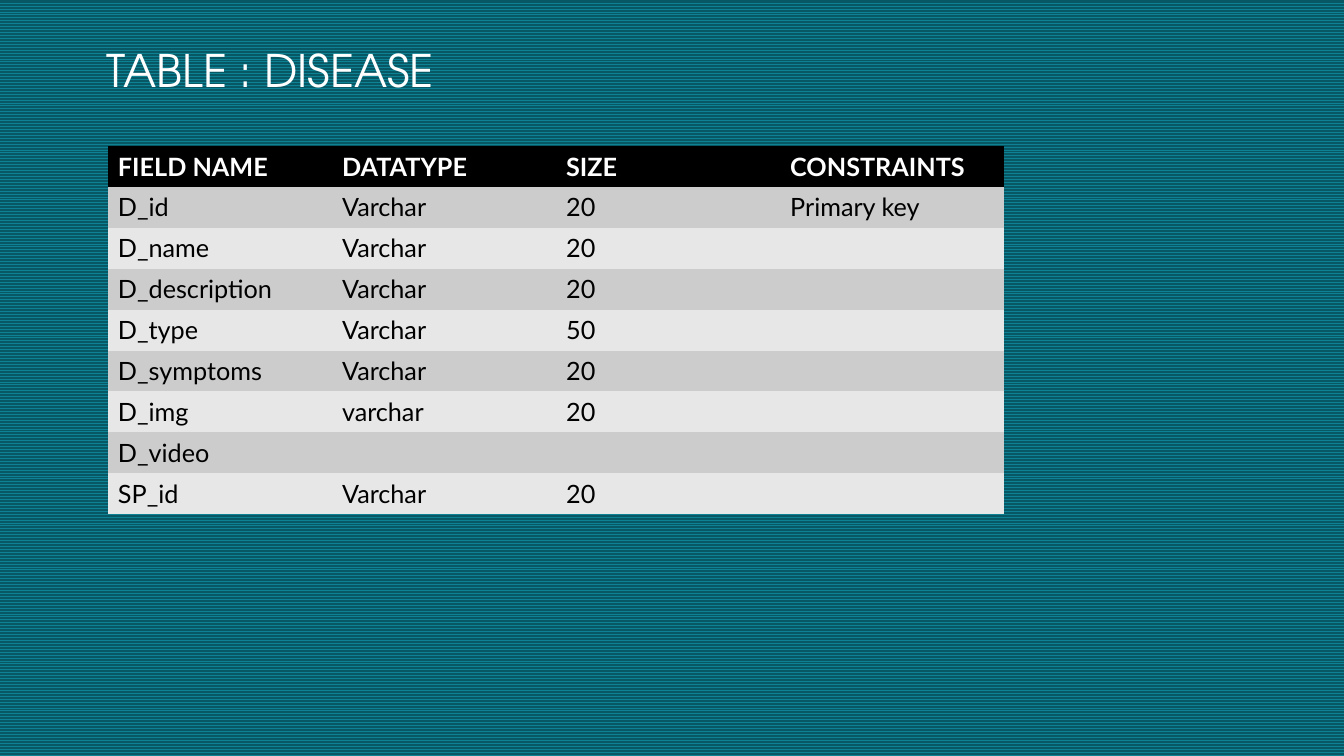
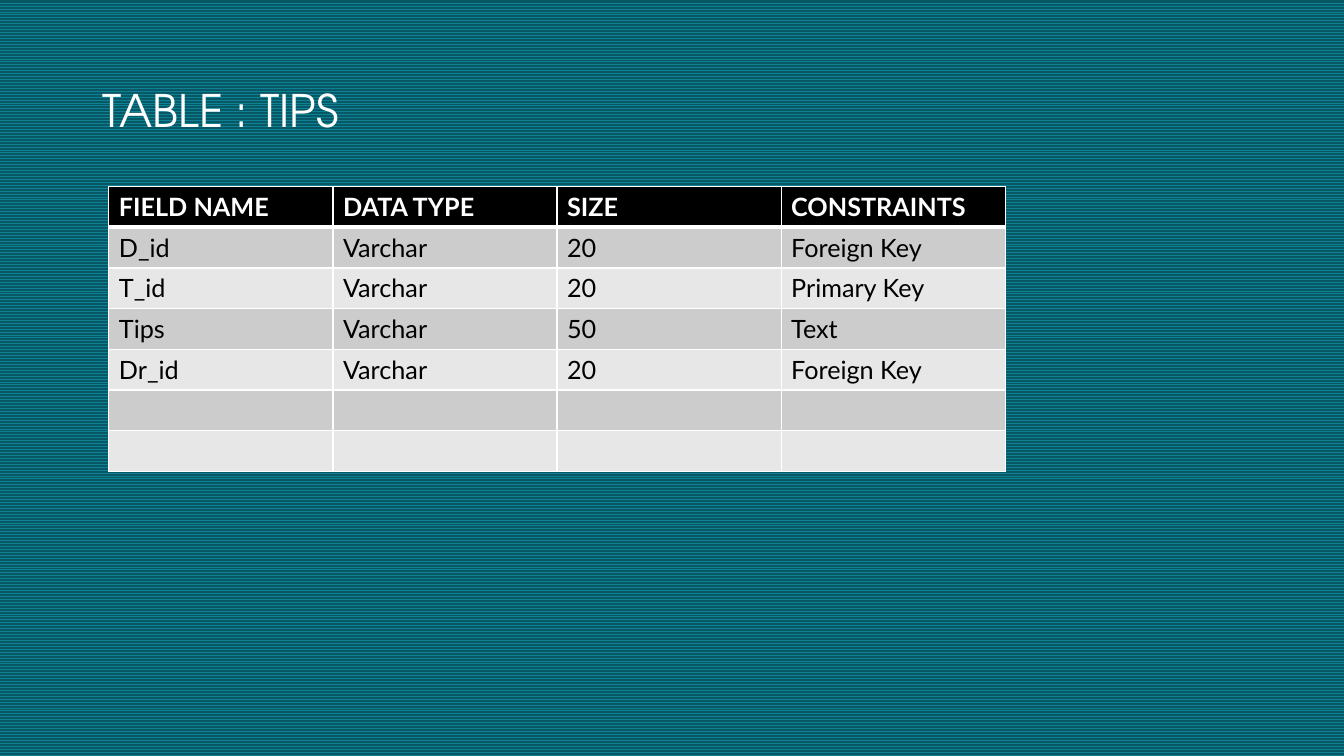
from lxml import etree
from pptx import Presentation
from pptx.dml.color import RGBColor
from pptx.enum.dml import MSO_PATTERN
from pptx.enum.text import MSO_ANCHOR
from pptx.oxml.ns import qn
from pptx.util import Inches, Pt

ZIG_ZAG = MSO_PATTERN.ZIG_ZAG
MIDDLE = MSO_ANCHOR.MIDDLE

TEAL, DEEP_TEAL = "0D8295", "085764"
WHITE, BLACK = "FFFFFF", "000000"
BANDS = ("CCCCCC", "E7E7E7")
TITLE_FONT, BODY_FONT = "TeX Gyre Adventor", "Lato"
TITLE_WIDTH, TITLE_HEIGHT = 11.5, 1.45
TABLE_WIDTH = 8.89
GRID_LINE, HEADER_LINE = 1, 3


def color(hex_value):
    """Return the colour for a hex string."""
    return RGBColor.from_string(hex_value)


def style_text(paragraph, font_name, size, hex_value, bold=False):
    """Format every run of a paragraph."""
    for run in paragraph.runs:
        run.font.name = font_name
        run.font.size = Pt(size)
        run.font.color.rgb = color(hex_value)
        run.font.bold = bold


def set_background(master):
    """Give the master the patterned backdrop all slides share."""
    backdrop = master.background.fill
    backdrop.patterned()
    backdrop.pattern = ZIG_ZAG
    backdrop.fore_color.rgb = color(TEAL)
    backdrop.back_color.rgb = color(DEEP_TEAL)


def add_title(slide, text, left, top):
    """Place the slide title, centred vertically in its box."""
    title = slide.shapes.add_textbox(
        Inches(left), Inches(top), Inches(TITLE_WIDTH), Inches(TITLE_HEIGHT))
    frame = title.text_frame
    frame.word_wrap = True
    frame.vertical_anchor = MIDDLE
    frame.text = text
    heading = frame.paragraphs[0]
    heading.line_spacing = 0.9
    style_text(heading, TITLE_FONT, 32, WHITE)


def set_borders(cell, widths):
    """Draw white cell borders; a width of zero leaves that side bare."""
    properties = cell._tc.get_or_add_tcPr()
    for side, width in widths.items():
        line = etree.SubElement(properties, qn(f"a:ln{side}"), w=str(Pt(width)))
        if width:
            fill = etree.SubElement(line, qn("a:solidFill"))
            etree.SubElement(fill, qn("a:srgbClr"), val=WHITE)
        else:
            etree.SubElement(line, qn("a:noFill"))


def add_field_table(slide, rows, left, top, height, ruled):
    """Place a banded field table with a black header row."""
    table = slide.shapes.add_table(
        len(rows), len(rows[0]), Inches(left), Inches(top),
        Inches(TABLE_WIDTH), Inches(height)).table
    grid = GRID_LINE if ruled else 0
    under_header = HEADER_LINE if ruled else 0
    for row_index, row in enumerate(rows):
        header = row_index == 0
        row_fill = BLACK if header else BANDS[(row_index - 1) % 2]
        widths = {"L": grid, "R": grid,
                  "T": under_header if row_index == 1 else grid,
                  "B": under_header if header else grid}
        for column_index, text in enumerate(row):
            cell = table.cell(row_index, column_index)
            set_borders(cell, widths)
            cell.fill.solid()
            cell.fill.fore_color.rgb = color(row_fill)
            cell.text = text
            style_text(cell.text_frame.paragraphs[0], BODY_FONT, 18,
                       WHITE if header else BLACK, header)


def add_table_slide(deck, title, left, top, rows, table_left, table_height, ruled):
    """Add a slide with a title and its table directly below."""
    slide = deck.slides.add_slide(deck.slide_layouts[6])
    add_title(slide, title, left, top)
    add_field_table(slide, rows, table_left, top + TITLE_HEIGHT, table_height, ruled)


DISEASE_FIELDS = [
    ("FIELD NAME", "DATATYPE", "SIZE", "CONSTRAINTS"),
    ("D_id", "Varchar", "20", "Primary key"),
    ("D_name", "Varchar", "20", ""),
    ("D_description", "Varchar", "20", ""),
    ("D_type", "Varchar", "50", ""),
    ("D_symptoms", "Varchar", "20", ""),
    ("D_img", "varchar", "20", ""),
    ("D_video", "", "", ""),
    ("SP_id", "Varchar", "20", ""),
]
TIPS_FIELDS = [
    ("FIELD NAME", "DATA TYPE", "SIZE", "CONSTRAINTS"),
    ("D_id", "Varchar", "20", "Foreign Key"),
    ("T_id", "Varchar", "20", "Primary Key"),
    ("Tips", "Varchar", "50", "Text"),
    ("Dr_id", "Varchar", "20", "Foreign Key"),
    ("", "", "", ""),
    ("", "", "", ""),
]

deck = Presentation()
deck.slide_width, deck.slide_height = Inches(13.33), Inches(7.5)
set_background(deck.slide_master)
add_table_slide(deck, "TABLE : DISEASE", 0.96, 0, DISEASE_FIELDS, 1.07, 3.65, ruled=False)
add_table_slide(deck, "TABLE : TIPS", 0.92, 0.4, TIPS_FIELDS, 1.08, 2.83, ruled=True)
deck.save("out.pptx")
